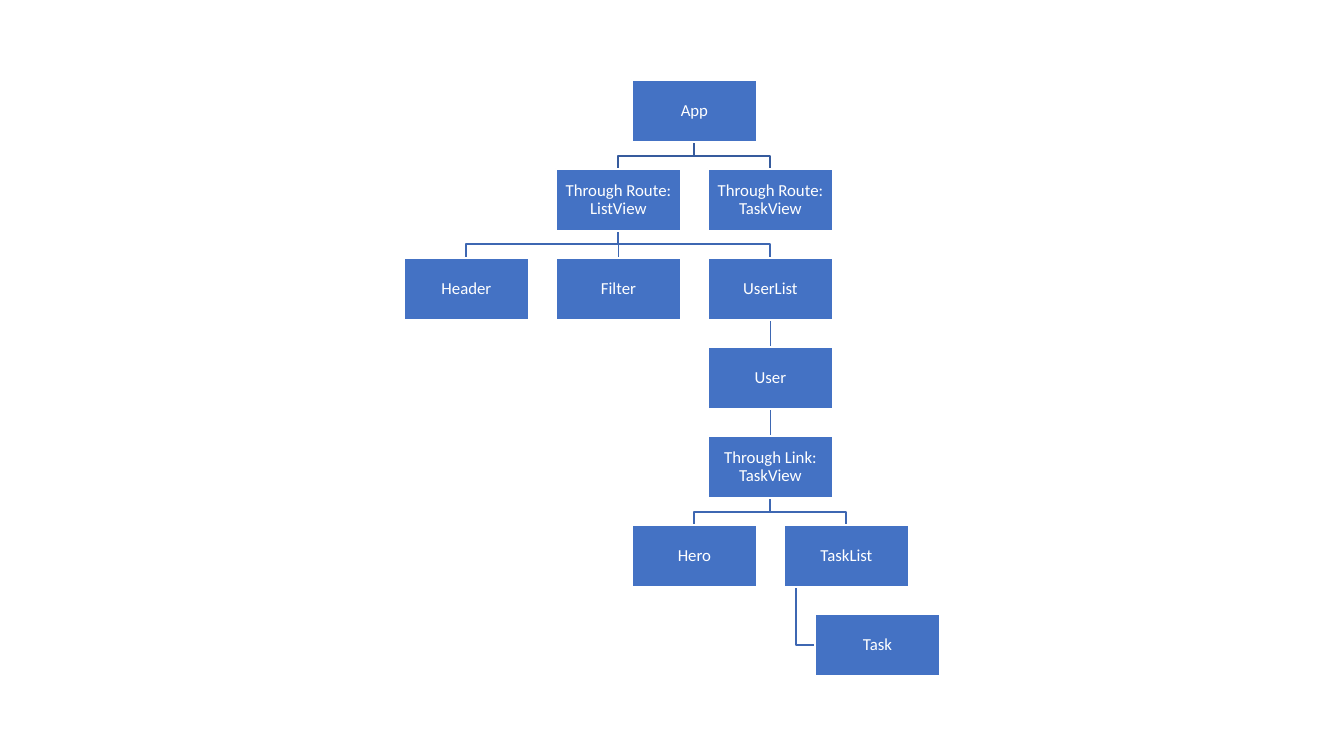
"""Build a one-slide component tree."""
import dataclasses

import lxml.etree
import pptx
import pptx.dml.color
import pptx.enum.shapes
import pptx.enum.text
import pptx.oxml.ns
import pptx.util

PX = 914400 / 100.8


@dataclasses.dataclass(frozen=True)
class Theme:
    """Colours and type of the slide."""
    box: str = "4472C4"
    root_line: str = "365B9D"
    line: str = "3E67B2"
    white: str = "FFFFFF"
    font: str = "Calibri"
    size: int = 12


THEME = Theme()
BOX_W, BOX_H = 125, 62
HALF_COLUMN, TIER = 76, 89
INDENT, STEM = 31, 12

NODES = {
    "app": ("App", 3, 0, 0),
    "list_view": ("Through Route: ListView", 2, 1, 0),
    "header": ("Header", 0, 2, 0),
    "filter": ("Filter", 2, 2, 0),
    "user_list": ("UserList", 4, 2, 0),
    "user": ("User", 4, 3, 0),
    "link": ("Through Link: TaskView", 4, 4, 0),
    "hero": ("Hero", 3, 5, 0),
    "task_list": ("TaskList", 5, 5, 0),
    "task": ("Task", 5, 6, INDENT),
    "task_view": ("Through Route: TaskView", 4, 1, 0),
}
CHILDREN = {
    "app": ["list_view", "task_view"],
    "list_view": ["header", "filter", "user_list"],
    "user_list": ["user"],
    "user": ["link"],
    "link": ["hero", "task_list"],
    "task_list": ["task"],
}


def px(n):
    """Turn px into EMU."""
    return pptx.util.Emu(round(n * PX))


def rgb(value):
    """Turn a hex string into a colour."""
    return pptx.dml.color.RGBColor.from_string(value)


def style_line(sp, color):
    """Give a shape or connector a one-point line."""
    sp.line.color.rgb = rgb(color)
    sp.line.width = pptx.util.Pt(1)


def write(sp, text, size=THEME.size, color=THEME.white, font=THEME.font):
    """Write centred text into a shape."""
    tf = sp.text_frame
    tf.word_wrap = True
    tf.vertical_anchor = pptx.enum.text.MSO_ANCHOR.MIDDLE
    tf.margin_left = tf.margin_right = tf.margin_top = tf.margin_bottom = px(1)
    p = tf.paragraphs[0]
    p.alignment = pptx.enum.text.PP_ALIGN.CENTER
    p.line_spacing = 0.9
    r = p.add_run()
    r.text = text
    r.font.name = font
    r.font.size = pptx.util.Pt(size)
    r.font.color.rgb = rgb(color)


def add_node(slide, text, x, y):
    """Draw one labelled box."""
    sp = slide.shapes.add_shape(
        pptx.enum.shapes.MSO_SHAPE.RECTANGLE, px(x), px(y), px(BOX_W), px(BOX_H))
    sp.shadow.inherit = False
    sp.fill.solid()
    sp.fill.fore_color.rgb = rgb(THEME.box)
    style_line(sp, THEME.white)
    write(sp, text)
    return sp


def add_straight(slide, start, end, color):
    """Draw a straight connector."""
    cx = slide.shapes.add_connector(
        pptx.enum.shapes.MSO_CONNECTOR.STRAIGHT, *map(px, start + end))
    style_line(cx, color)
    lxml.etree.SubElement(cx._element.spPr, pptx.oxml.ns.qn("a:effectLst"))
    return cx


def add_bent(slide, points, color):
    """Draw an open line through the points."""
    builder = slide.shapes.build_freeform(*points[0], scale=PX)
    builder.add_line_segments(points[1:], close=False)
    sp = builder.convert_to_shape()
    sp.shadow.inherit = False
    sp.fill.background()
    style_line(sp, color)


def add_tree(slide, left, top):
    """Draw the tree with its top-left corner at the given place."""
    places = {
        key: (left + column * HALF_COLUMN + indent, top + tier * TIER)
        for key, (_, column, tier, indent) in NODES.items()}
    joins = []
    for parent, children in CHILDREN.items():
        x, y = places[parent]
        color = THEME.root_line if parent == "app" else THEME.line
        start = (x + BOX_W / 2, y + BOX_H)
        for child in children:
            child_x, child_y = places[child]
            end = (child_x + BOX_W / 2, child_y)
            if child_x == x:
                joins.append((add_straight(slide, start, end, color), parent, child))
            elif NODES[child][3]:
                stem_x, side_y = x + STEM, child_y + BOX_H / 2
                add_bent(slide, [(stem_x, y + BOX_H), (stem_x, side_y),
                                 (child_x, side_y)], color)
            else:
                mid_y = (start[1] + child_y) / 2
                add_bent(slide, [start, (start[0], mid_y), (end[0], mid_y), end], color)
    boxes = {key: add_node(slide, NODES[key][0], *place)
             for key, place in places.items()}
    for cx, parent, child in joins:
        cx.begin_connect(boxes[parent], 2)
        cx.end_connect(boxes[child], 0)


def main():
    """Build and save the presentation."""
    prs = pptx.Presentation()
    prs.slide_width, prs.slide_height = px(1344), px(756)
    slide = prs.slides.add_slide(prs.slide_layouts[6])
    add_tree(slide, 404, 80)
    prs.save("out.pptx")


if __name__ == "__main__":
    main()
